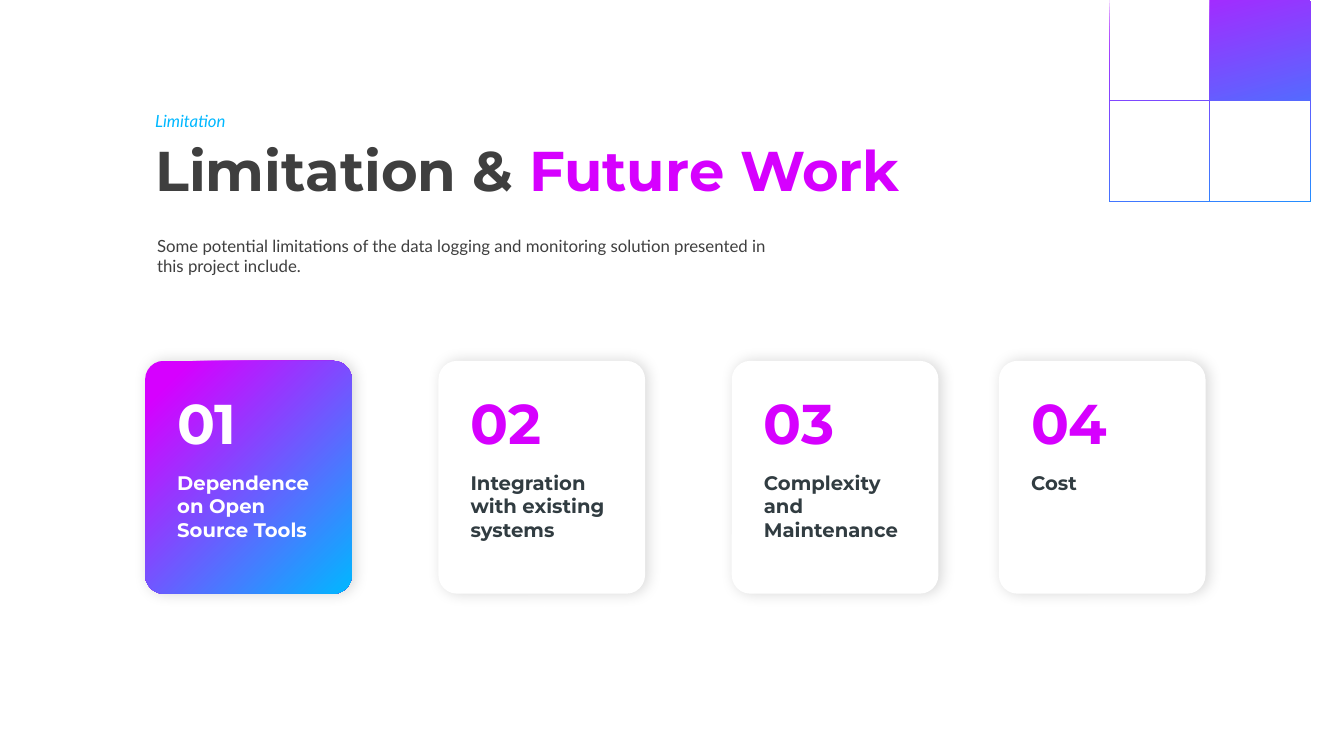
import math
from lxml import etree
from pptx import Presentation, util as u
from pptx.dml.color import RGBColor
from pptx.enum import shapes, text
from pptx.oxml.ns import qn

W, H = 13.33, 7.5
COL, ROW = W / 40, H / 30
HEX = {"pink": "D600FF", "blue": "00B8FF", "gray": "3F3F3F", "ink": "313C41",
       "white": "FFFFFF", "violet": "B21FFF", "azure": "179CFF", "black": "000000"}
HEAD, BODY = "Montserrat", "Lato"

# Cards: equal steps, the last one set closer
LEFT, STEP, LAST = 4.32, 8.73, 29.73
CARDS = ["Dependence on Open Source Tools", "Integration with existing systems",
         "Complexity and Maintenance", "Cost"]

# Middle lines of the contour bands, and rings as centre and radii, in inches
BAND = 0.05
LINES = [
    [(12, -.1), (11.83, .2), (12, .31), (12.3, -.2)],
    [(11.7, -.05), (11.57, .5), (11.5, .9), (11.27, 1.17), (11.7, 1.32), (12.07, 1.05),
     (12.14, .55), (12.5, -.1)],
    [(10.55, .86), (10.73, .5), (10.83, .13)],
    [(12.73, 2.31), (12.8, 1.95), (12.99, 1.87), (13.08, 2.06)],
    [(10.55, 1.11), (10.96, .76), (11.12, .3), (11.13, -.1)],
    [(12.51, 2.41), (12.62, 1.94), (12.82, 1.4), (12.85, .8), (13.1, .51), (13.4, .65)],
    [(10.58, 1.34), (11.09, 1.03), (11.33, .6), (11.43, -.1)],
    [(10.75, 1.75), (11.15, 1.52), (11.84, 1.68), (12.25, 1.46), (12.32, .7), (12.8, -.12)],
    [(10.81, 1.87), (11.1, 1.82), (11.74, 2.12), (12.38, 1.85), (12.53, 1.2), (12.6, .42),
     (13.05, -.05)],
    [(11.13, 2.2), (11.7, 2.35), (12.08, 2.26), (12.17, 2.48)],
]
RINGS = [(11.79, .86, .11, .18), (13.17, 1, .13, .13)]


def tint(name):
    return RGBColor.from_string(HEX[name])


def area(col, row, cols, rows):
    return [u.Inches(n) for n in (col * COL, row * ROW, cols * COL, rows * ROW)]


def put(para, words, font, size, tone, bold=False, slant=False):
    run = para.add_run()
    run.text = words
    face = run.font
    face.name, face.size, face.bold, face.italic = font, u.Pt(size), bold, slant
    face.color.rgb = tint(tone)


def label(slide, spot, *style, **more):
    frame = slide.shapes.add_textbox(*area(*spot)).text_frame
    frame.word_wrap = True
    put(frame.paragraphs[0], *style, **more)


def blend(shape, start, end, angle, first=0):
    shape.fill.gradient()
    shape.fill.gradient_angle = 360 - angle
    for stop, name, place in zip(shape.fill.gradient_stops, (start, end), (first, 1)):
        stop.color.rgb, stop.position = tint(name), place


def shade(shape):
    """Soft shadow to the right of a shape."""
    shape.shadow.inherit = False
    glow = etree.SubElement(shape.element.spPr.find(qn("a:effectLst")), qn("a:outerShdw"),
                            blurRad=str(u.Pt(10)), dist=str(u.Pt(2)), dir="0",
                            algn="l", rotWithShape="0")
    hue = etree.SubElement(glow, qn("a:srgbClr"), val=HEX["black"])
    etree.SubElement(hue, qn("a:alpha"), val="15000")


def curve(knots, steps=8):
    """Smooth line through the knots (Catmull-Rom)."""
    full = [knots[0], *knots, knots[-1]]
    dots = []
    for quad in zip(full, full[1:], full[2:], full[3:]):
        for k in range(steps):
            t = k / steps
            dots.append(tuple(
                q + t * (r - p + t * (2 * p - 5 * q + 4 * r - s + t * (3 * q - p - 3 * r + s))) / 2
                for p, q, r, s in zip(*quad)))
    return dots + [knots[-1]]


def ring(x, y, wide, high, steps=32):
    turns = [math.tau * k / steps for k in range(steps + 1)]
    return [(x + wide * math.cos(t), y + high * math.sin(t)) for t in turns]


def band(dots):
    """Outline of a band of even width along the dots."""
    left, right = [], []
    last = len(dots) - 1
    for i, (x, y) in enumerate(dots):
        (ax, ay), (bx, by) = dots[max(i - 1, 0)], dots[min(i + 1, last)]
        turn = math.atan2(by - ay, bx - ax)
        dx, dy = -math.sin(turn) * BAND / 2, math.cos(turn) * BAND / 2
        left.append((x + dx, y + dy))
        right.append((x - dx, y - dy))
    return left + right[::-1]


def waves(slide):
    rims = [band(curve(knots)) for knots in LINES] + [band(ring(*size)) for size in RINGS]
    pen = slide.shapes.build_freeform(*rims[0][0], scale=u.Inches(1))
    for i, rim in enumerate(rims):
        if i:
            pen.move_to(*rim[0])
        pen.add_line_segments(rim[1:], close=True)
    shape = pen.convert_to_shape()
    blend(shape, "violet", "azure", 75)
    shape.line.fill.background()
    shape.shadow.inherit = False


def card(slide, col, number, words, lead):
    shape = slide.shapes.add_shape(shapes.MSO_SHAPE.ROUNDED_RECTANGLE,
                                   *area(col, 14.32, 6.15, 9.24))
    shape.adjustments[0] = 0.09
    if lead:
        blend(shape, "pink", "blue", 45, 0.1)
    else:
        shape.fill.solid()
        shape.fill.fore_color.rgb = tint("white")
    shape.line.fill.background()
    shade(shape)
    left = col + 0.66
    label(slide, (left, 18.48, 4.77, 3.24), words, HEAD, 14, "white" if lead else "ink", bold=True)
    label(slide, (left, 15.24, 3.36, 3.08), number, HEAD, 40, "white" if lead else "pink", bold=True)


def title(slide):
    box = slide.shapes.title
    box.left, box.top, box.width, box.height = area(LEFT, 4.4, 34.5, 5)
    frame = box.text_frame
    frame.vertical_anchor = text.MSO_ANCHOR.MIDDLE
    para = frame.paragraphs[0]
    para.alignment, para.line_spacing = text.PP_ALIGN.LEFT, 0.9
    put(para, "Limitation & ", HEAD, 40, "gray", bold=True)
    put(para, "Future Work", HEAD, 40, "pink", bold=True)


def main():
    deck = Presentation()
    deck.slide_width, deck.slide_height = u.Inches(W), u.Inches(H)
    slide = deck.slides.add_slide(deck.slide_layouts[5])
    # Corner pattern
    waves(slide)
    # Heading and introduction
    title(slide)
    label(slide, (LEFT, 4.2, 12.6, 1.16), "Limitation", BODY, 12, "blue", slant=True)
    label(slide, (4.38, 9.16, 18.84, 2), "Some potential limitations of the data logging and "
          "monitoring solution presented in this project include.", BODY, 12, "gray")
    # Cards, the first one highlighted
    for i, words in enumerate(CARDS):
        card(slide, min(LEFT + i * STEP, LAST), f"{i + 1:02}", words, i == 0)
    deck.save("out.pptx")


if __name__ == "__main__":
    main()
